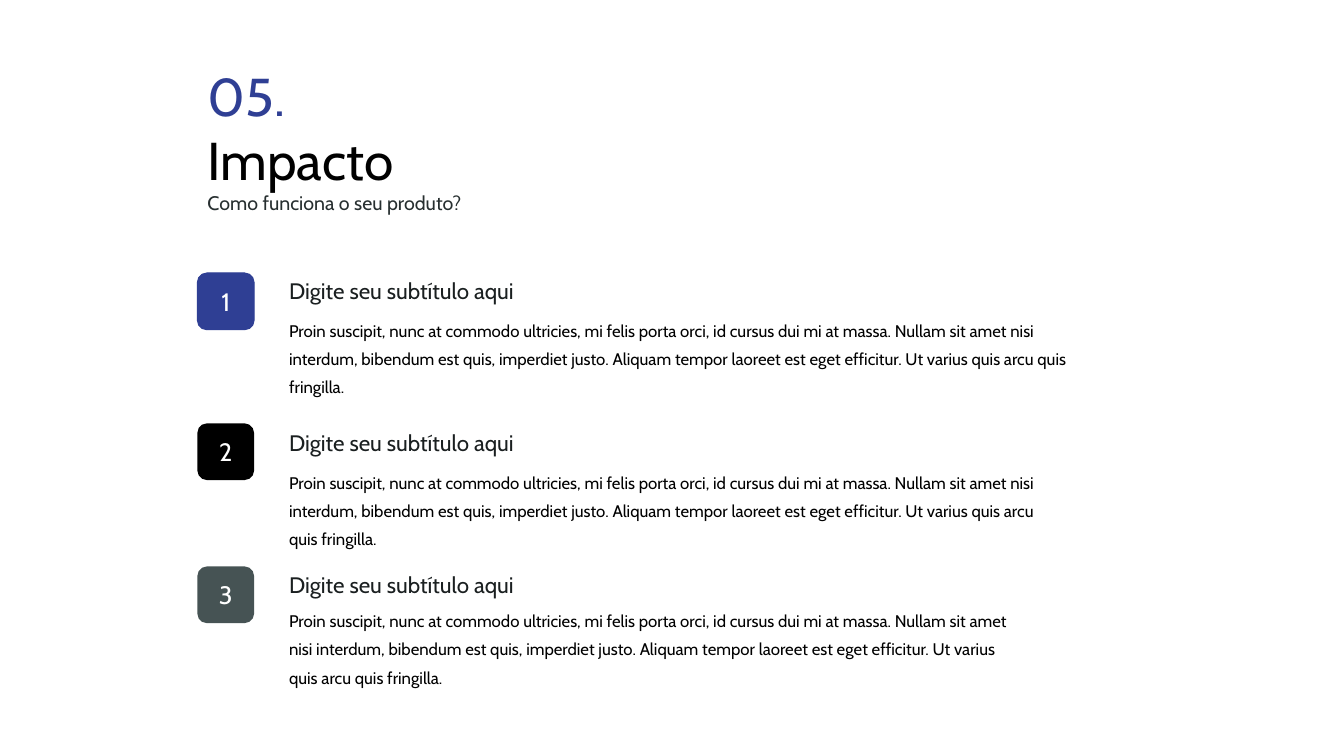
from pptx import Presentation
from pptx.dml.color import RGBColor
from pptx.enum.shapes import MSO_SHAPE
from pptx.enum.text import MSO_ANCHOR, MSO_AUTO_SIZE, PP_ALIGN
from pptx.util import Pt

FONT = "Cabin"
BLUE, BLACK, SLATE, WHITE = "2F3F94", "000000", "465354", "FFFFFF"
SUBTITLE_INK, QUESTION_INK = "1A1F20", "272F30"
MARGIN_LEFT = 141
BADGE_SIZE = 40.5
TEXT_INDENT = 58.4

SUBTITLE = "Digite seu subtítulo aqui"
DESCRIPTION = (
    "Proin suscipit, nunc at commodo ultricies, mi felis porta orci, id cursus dui mi at massa. "
    "Nullam sit amet nisi interdum, bibendum est quis, imperdiet justo. Aliquam tempor laoreet "
    "est eget efficitur. Ut varius quis arcu quis fringilla."
)
HEADING_LINES = [
    ("05.", 38, BLUE),
    ("Impacto", 38, BLACK),
    ("Como funciona o seu produto?", 14, QUESTION_INK),
]
# badge colour, badge top, subtitle top, description top, description width
ITEMS = [
    (BLUE, 195, 194.4, 219.6, 574),
    (BLACK, 302.4, 303.1, 328.3, 561.6),
    (SLATE, 404.6, 404.6, 427, 540.7),
]


def color(hex_value):
    return RGBColor.from_string(hex_value)


def write(frame, lines, align=PP_ALIGN.LEFT, anchor=MSO_ANCHOR.TOP, spacing=1.0):
    """Fill a text frame with one paragraph per (text, size, colour)."""
    frame_format = {
        "word_wrap": True,
        "auto_size": MSO_AUTO_SIZE.NONE,
        "vertical_anchor": anchor,
        "margin_left": Pt(7.2),
        "margin_right": Pt(7.2),
        "margin_top": Pt(3.6),
        "margin_bottom": Pt(3.6),
    }
    for attribute, value in frame_format.items():
        setattr(frame, attribute, value)
    for index, (text, size, ink) in enumerate(lines):
        paragraph = frame.add_paragraph() if index else frame.paragraphs[0]
        paragraph.alignment = align
        paragraph.line_spacing = spacing
        run = paragraph.add_run()
        run.text = text
        for attribute, value in {"name": FONT, "size": Pt(size), "bold": False}.items():
            setattr(run.font, attribute, value)
        run.font.color.rgb = color(ink)


def add_heading(slide, left, top, width, height):
    heading = slide.shapes.title
    box = {"left": left, "top": top, "width": width, "height": height}
    for attribute, value in box.items():
        setattr(heading, attribute, Pt(value))
    write(heading.text_frame, HEADING_LINES)


def add_badge(slide, number, fill, left, top):
    badge = slide.shapes.add_shape(
        MSO_SHAPE.ROUNDED_RECTANGLE, Pt(left), Pt(top), Pt(BADGE_SIZE), Pt(BADGE_SIZE)
    )
    badge.shadow.inherit = False
    badge.fill.solid()
    badge.fill.fore_color.rgb = color(fill)
    if fill == BLUE:
        badge.line.color.rgb = color(fill)
        badge.line.width = Pt(0.75)
    else:
        badge.line.fill.background()
    write(badge.text_frame, [(str(number), 18, WHITE)], PP_ALIGN.CENTER, MSO_ANCHOR.MIDDLE)


def add_text(slide, line, left, top, width, height, spacing=1.0):
    box = slide.shapes.add_textbox(Pt(left), Pt(top), Pt(width), Pt(height))
    write(box.text_frame, [line], spacing=spacing)


def add_item(slide, number, left, item):
    fill, badge_top, subtitle_top, description_top, description_width = item
    text_left = left + TEXT_INDENT
    add_badge(slide, number, fill, left, badge_top)
    add_text(slide, (SUBTITLE, 16, SUBTITLE_INK), text_left, subtitle_top, 227.5, 26.6)
    add_text(slide, (DESCRIPTION, 12, BLACK), text_left, description_top,
             description_width, 68.4, spacing=1.4)


def main():
    presentation = Presentation()
    presentation.slide_width, presentation.slide_height = Pt(960), Pt(540)
    slide = presentation.slides.add_slide(presentation.slide_layouts[5])
    add_heading(slide, MARGIN_LEFT, 41.8, 238.3, 116.6)
    for number, item in enumerate(ITEMS, start=1):
        add_item(slide, number, MARGIN_LEFT, item)
    presentation.save("out.pptx")


if __name__ == "__main__":
    main()
